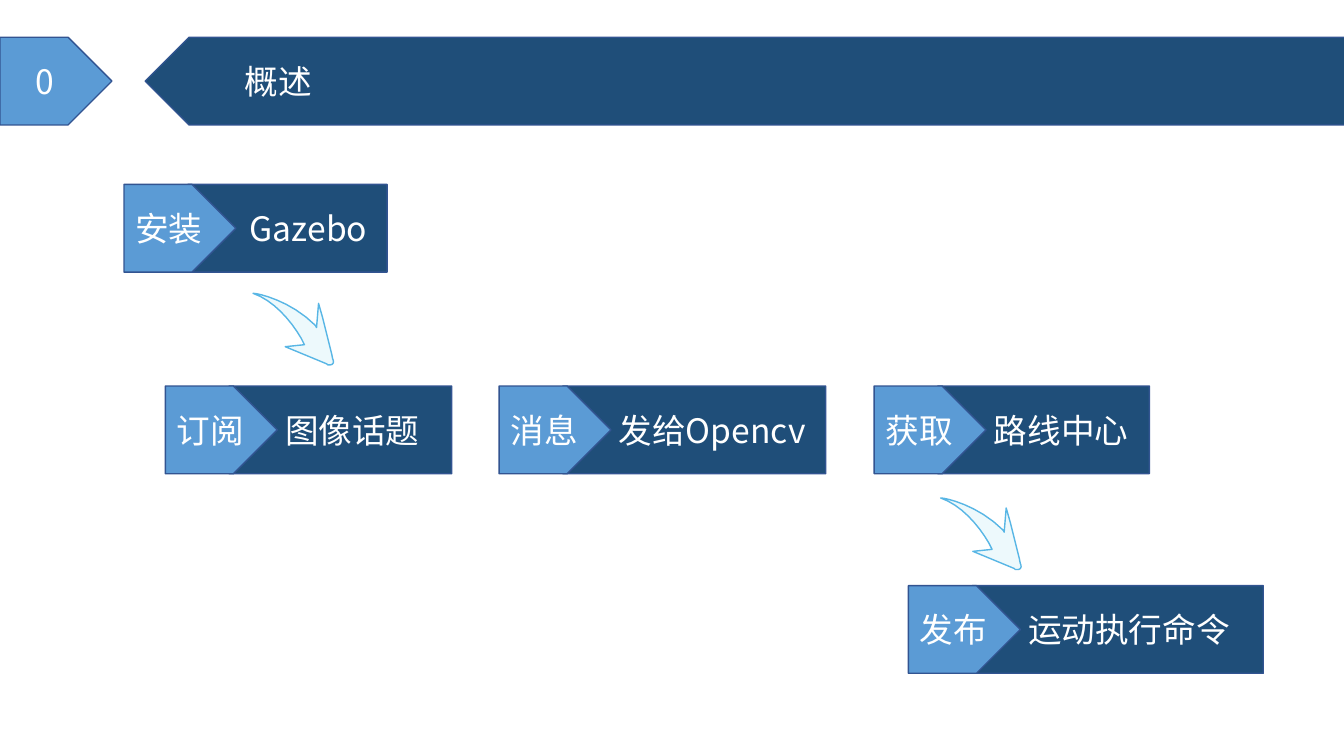
from lxml import etree
from pptx import Presentation
from pptx import util as u
from pptx.dml import color
from pptx.enum import shapes, text
from pptx.oxml import ns

EMU_PER_PX = 9144
FONT = "Noto Sans CJK SC"
PLATE_W, PLATE_H = 111, 87
BAR_OFFSET = 20
BAR_INDENT = 77
CURVE_STEPS = 8
NAVY, BLUE, EDGE, WHITE = "1F4E79", "5B9BD5", "325491", "FFFFFF"
ARROW_FILL, ARROW_EDGE, ARROW_ALPHA = "D4F1F9", "58B6E5", 41

STEPS = [
    (123, 183, "安装", "Gazebo", 241, 83),
    (164, 383, "订阅", "图像话题", 264, BAR_INDENT),
    (495, 383, "消息", "发给Opencv", 304, BAR_INDENT),
    (867, 383, "获取", "路线中心", 253, BAR_INDENT),
    (901, 581, "发布", "运动执行命令", 332, BAR_INDENT),
]
ARROWS = [(251, 291), (933, 494)]
ARROW_OUTLINE = [
    [(76, 71)],
    [(77, 71), (78, 71), (79, 70)],
    [(80, 69), (80, 67), (79, 65)],
    [(78, 60)], [(69, 24)], [(65, 10)], [(63, 34)], [(62, 32)],
    [(37, 7), (5, 0), (0, 0)],
    [(20, 7), (37, 26), (48, 45)],
    [(51, 51)], [(32, 53)], [(73, 70)], [(74, 71)],
]


def px(length):
    return u.Emu(round(length * EMU_PER_PX))


def paint(target, hex_code):
    target.fore_color.rgb = color.RGBColor.from_string(hex_code)


def style(shape, fill, edge):
    shape.shadow.inherit = False
    shape.fill.solid()
    paint(shape.fill, fill)
    shape.line.fill.solid()
    paint(shape.line.fill, edge)
    shape.line.width = u.Pt(1)


def add_pentagon(slide, left, top, width, wording, fill, align, indent=0):
    pentagon = slide.shapes.add_shape(
        shapes.MSO_SHAPE.PENTAGON, px(left), px(top), px(width), px(PLATE_H))
    style(pentagon, fill, EDGE)
    frame = pentagon.text_frame
    frame.word_wrap = True
    frame.vertical_anchor = text.MSO_ANCHOR.MIDDLE
    frame.margin_left, frame.margin_right = px(indent), 0
    paragraph = frame.paragraphs[0]
    paragraph.alignment = align
    run = paragraph.add_run()
    run.text = wording
    run.font.size = u.Pt(24)
    run.font.name = FONT
    paint_font = run.font.fill
    paint_font.solid()
    paint(paint_font, WHITE)
    etree.SubElement(run.font._element, ns.qn("a:ea"), typeface=FONT)
    return pentagon


def add_plate(slide, left, top, label):
    add_pentagon(slide, left, top, PLATE_W, label, BLUE, text.PP_ALIGN.CENTER)


def add_bar(slide, left, top, width, wording, indent=BAR_INDENT):
    bar = add_pentagon(slide, left, top, width, wording, NAVY,
                       text.PP_ALIGN.LEFT, indent)
    bar._element.spPr.find(ns.qn("a:xfrm")).set("flipH", "1")


def add_step(slide, left, top, label, wording, width, indent):
    add_bar(slide, left + BAR_OFFSET, top, width, wording, indent)
    add_plate(slide, left, top, label)


def bezier(start, first, second, end, t):
    s = 1 - t
    return tuple(s**3 * a + 3 * s * s * t * b + 3 * s * t * t * c + t**3 * d
                 for a, b, c, d in zip(start, first, second, end))


def outline_points():
    points = []
    for segment in ARROW_OUTLINE:
        if len(segment) == 1:
            points += segment
        else:
            start = points[-1]
            points += [bezier(start, *segment, step / CURVE_STEPS)
                       for step in range(1, CURVE_STEPS + 1)]
    return points


def add_arrow(slide, left, top):
    points = [(px(left + x), px(top + y)) for x, y in outline_points()]
    builder = slide.shapes.build_freeform(*points[0])
    builder.add_line_segments(points[1:], close=True)
    arrow = builder.convert_to_shape()
    style(arrow, ARROW_FILL, ARROW_EDGE)
    tint = arrow._element.spPr.find(ns.qn("a:solidFill"))[0]
    etree.SubElement(tint, ns.qn("a:alpha"), val=str(ARROW_ALPHA * 1000))


def main():
    deck = Presentation()
    deck.slide_width, deck.slide_height = px(1333), px(750)
    slide = deck.slides.add_slide(deck.slide_layouts[6])
    add_plate(slide, 0, 37, "0")
    add_bar(slide, 144, 37, 1190, "概述")
    for step in STEPS:
        add_step(slide, *step)
    for arrow in ARROWS:
        add_arrow(slide, *arrow)
    deck.save("out.pptx")


if __name__ == "__main__":
    main()
